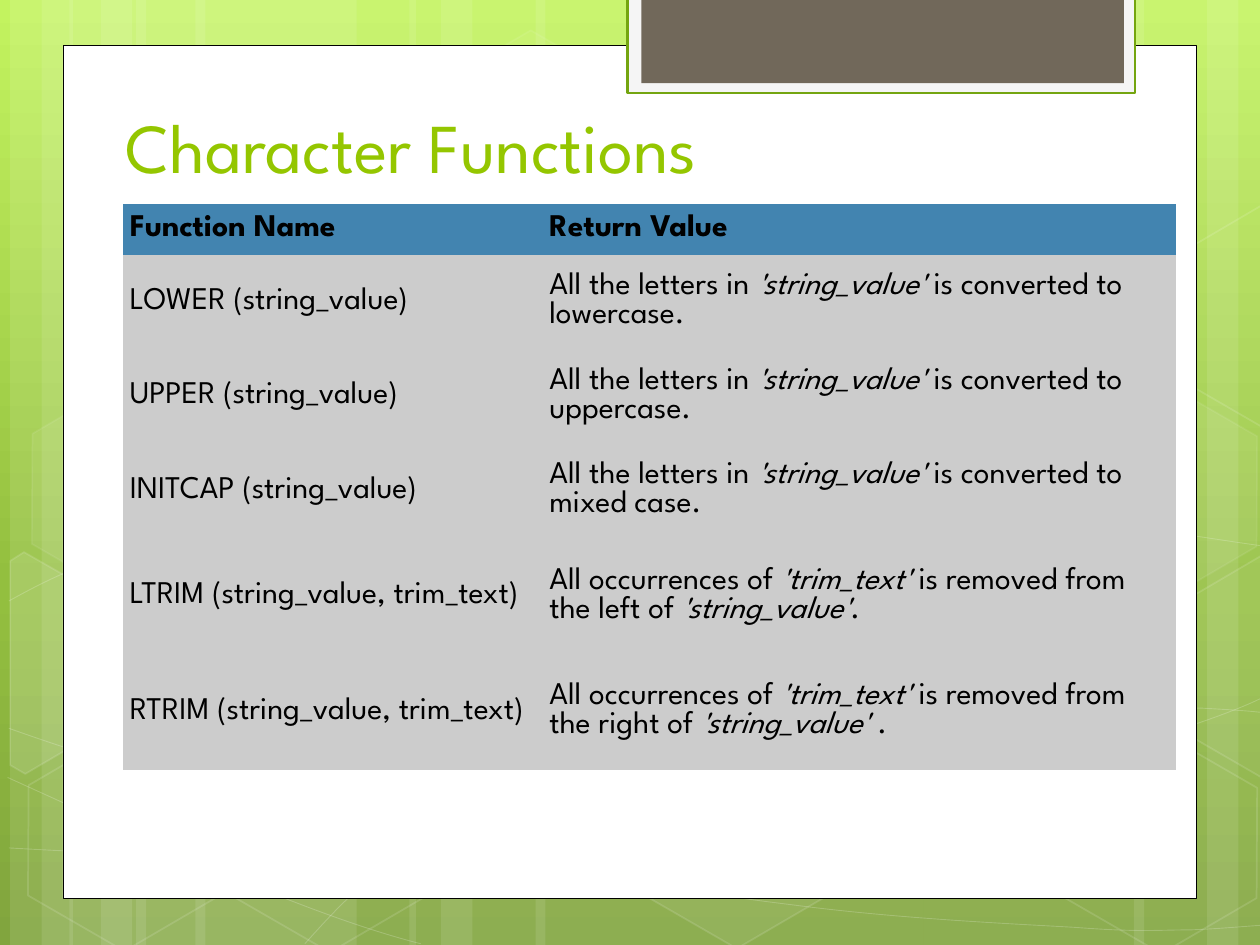
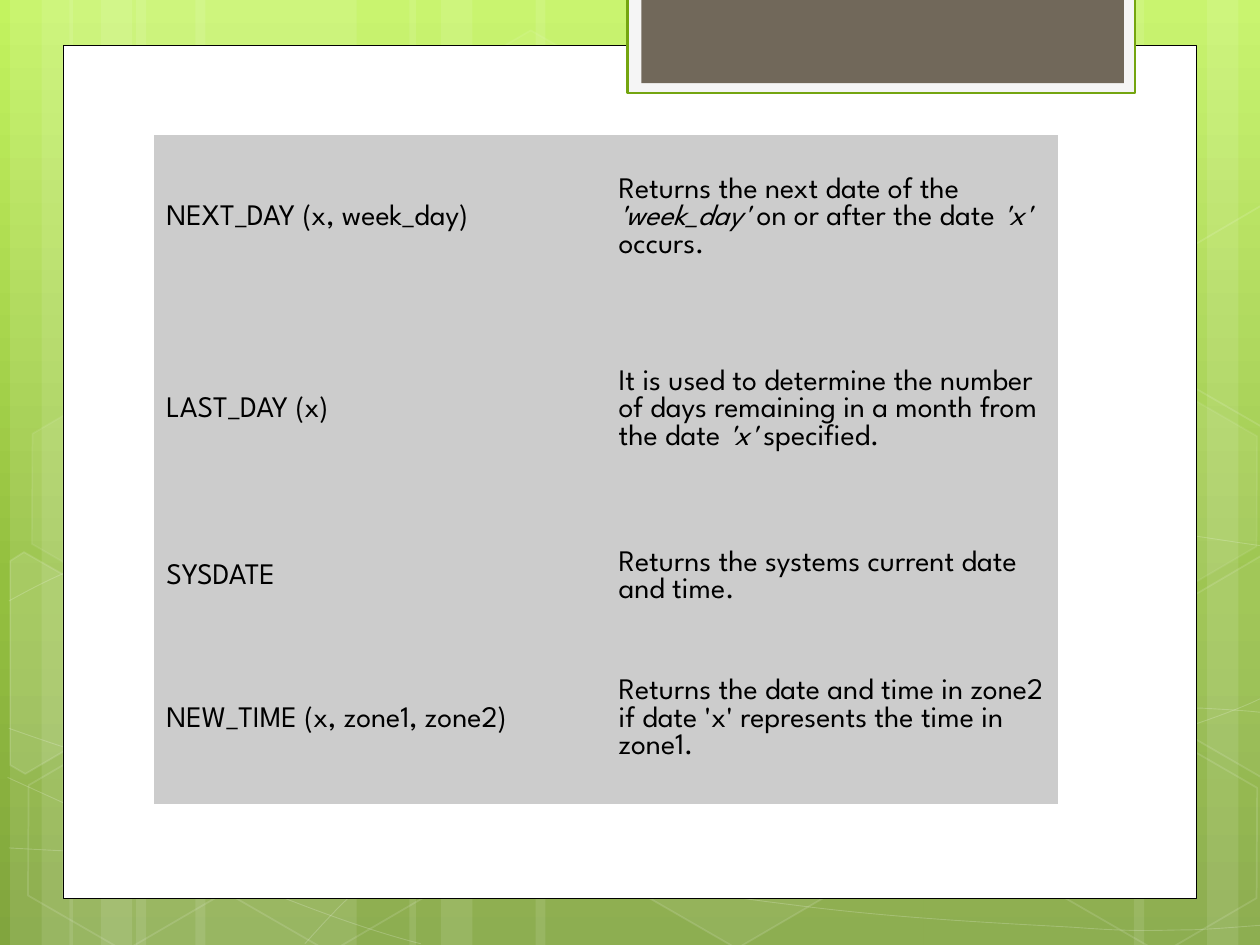
from copy import deepcopy
from math import cos, radians, sin

from pptx import Presentation
from pptx.dml.color import RGBColor
from pptx.enum.shapes import MSO_SHAPE
from pptx.enum.text import MSO_ANCHOR
from pptx.oxml.ns import qn
from pptx.util import Cm, Pt

GRID = Cm(2.54)  # layout unit: the slide measures 10 by 7.5 of them
WIDTH, HEIGHT = 10, 7.5
TILT = 30  # degrees by which every hexagon is turned
FONT = "League Spartan"

WHITE = RGBColor(0xFF, 0xFF, 0xFF)
BLACK = RGBColor(0x00, 0x00, 0x00)
TITLE_GREEN = RGBColor(0x94, 0xC6, 0x00)
TAB_EDGE = RGBColor(0x74, 0xA5, 0x10)
TAB_RIM = RGBColor(0xF5, 0xF5, 0xF5)
TAB_BROWN = RGBColor(0x71, 0x68, 0x5A)
HEADER_BLUE = RGBColor(0x42, 0x84, 0xB0)
ROW_GREY = RGBColor(0xCC, 0xCC, 0xCC)
BACKDROP = [
    (0, RGBColor(0xC3, 0xF3, 0x5F)),
    (0.62, RGBColor(0x93, 0xBF, 0x3F)),
    (1, RGBColor(0x81, 0xA5, 0x3E)),
]
NO_TABLE_STYLE = "{2D5ABB26-0587-4C30-8999-92F81FD0307C}"

# left edge, width
STRIPES = [
    (1.08, 1.75), (0.08, 0.5), (0.33, 0.83), (1.55, 1.75), (0.55, 0.5), (0.8, 0.83),
    (7.33, 1.75), (9.58, 0.5), (9, 0.83), (4.25, 3.08), (3.25, 0.5), (3.5, 0.83),
]
# start point, then two controls and an end point for each cubic segment
CURVES = [
    [(0.07, 6.73), (0.61, 6.76), (1.15, 6.79), (1.9, 6.78), (2.65, 6.77), (3.58, 6.75),
     (4.58, 6.65), (5.58, 6.55), (7, 6.36), (7.92, 6.17), (8.83, 5.98), (9.77, 5.68),
     (10.07, 5.51)],
    [(0.07, 4.77), (0.36, 4.61), (0.65, 4.46), (1.21, 4.31), (1.78, 4.16), (2.59, 3.94),
     (3.47, 3.87), (4.36, 3.8), (5.44, 3.79), (6.54, 3.87), (7.64, 3.95), (9.47, 4.26),
     (10.07, 4.34)],
    [(0.06, 6.17), (1.27, 6.72), (2.47, 7.27), (3.34, 7.49)],
    [(0.07, 5.78), (0.38, 5.89), (0.7, 6), (1.28, 6.16), (1.86, 6.31), (2.73, 6.56),
     (3.57, 6.73), (4.4, 6.9), (5.45, 7.08), (6.28, 7.18), (7.11, 7.29), (8, 7.33),
     (8.53, 7.36), (9.05, 7.4), (9.19, 7.38), (9.45, 7.38), (9.71, 7.37), (9.89, 7.35),
     (10.07, 7.34)],
    [(2.42, 7.49), (2.6, 7.29), (2.78, 7.09), (3.02, 6.91), (3.26, 6.73), (3.6, 6.53),
     (3.88, 6.39), (4.16, 6.25), (4.33, 6.19), (4.7, 6.09), (5.06, 5.99), (5.73, 5.85),
     (6.08, 5.78), (6.44, 5.71), (6.49, 5.71), (6.8, 5.69), (7.11, 5.66), (7.6, 5.63),
     (7.94, 5.62), (8.29, 5.61), (8.86, 5.62), (8.86, 5.62), (9.08, 5.62), (9.3, 5.62),
     (9.53, 5.62), (9.71, 5.63), (9.88, 5.64), (9.97, 5.65), (10.06, 5.66), (10.03, 5.65),
     (10.06, 5.66)],
]
# left, top, fill opacity (None for outline only), line opacity
HEXAGONS = [
    (3.34, 0.36, 4, 8), (4.97, 5.89, 6, 12), (0.11, 5.91, None, 12), (0.14, 3.12, 7, 8),
    (1.74, 5.92, None, 12), (7.53, 4.53, 10, 12), (8.34, 5.93, None, 12),
    (8.34, 3.14, 7, 8),
]
# centre of rotation, corners after rotation, fill opacity
CUT_HEXAGONS = [
    ((0.36, 5.35), [(0.08, 4.45), (0.19, 4.38), (0.96, 4.82), (0.95, 5.7), (0.2, 6.14),
                    (0.08, 6.07)], 10),
    ((9.85, 5.2), [(9.26, 4.85), (10.01, 4.41), (10.09, 4.46), (10.09, 6.13),
                   (10.02, 6.17), (9.26, 5.73)], 4),
    ((9.85, 2.41), [(9.26, 2.07), (10.01, 1.63), (10.1, 1.68), (10.09, 3.35),
                    (10.02, 3.39), (9.26, 2.95)], None),
]

# Asterisks enclose italics
CHARACTER_FUNCTIONS = [
    ("Function Name", "Return Value"),
    ("LOWER (string_value)",
     "All the letters in *'string_value'* is converted to lowercase."),
    ("UPPER (string_value)",
     "All the letters in *'string_value'* is converted to uppercase."),
    ("INITCAP (string_value)",
     "All the letters in *'string_value'* is converted to mixed case."),
    ("LTRIM (string_value, trim_text)",
     "All occurrences of *'trim_text'* is removed from the left of *'string_value'*."),
    ("RTRIM (string_value, trim_text)",
     "All occurrences of *'trim_text'* is removed from the right of *'string_value'* ."),
]
DATE_FUNCTIONS = [
    ("NEXT_DAY (x, week_day)",
     "Returns the next date of the *'week_day'* on or after the date *'x'* occurs."),
    ("LAST_DAY (x)",
     "It is used to determine the number of days remaining in a month "
     "from the date *'x'* specified."),
    ("SYSDATE", "Returns the systems current date and time."),
    ("NEW_TIME (x, zone1, zone2)",
     "Returns the date and time in zone2 if date 'x' represents the time in zone1."),
]


def grid(*values):
    return [round(GRID * value) for value in values]


def set_all(target, values):
    for name, value in values.items():
        setattr(target, name, value)


def set_opacity(colors, percent):
    for color in colors:
        color.append(color.makeelement(qn("a:alpha"), {"val": str(percent * 1000)}))


def paint(shape, fill=None, line=None, weight=1, fill_opacity=100, line_opacity=100):
    """Fill and outline a shape; None leaves that part empty."""
    shape.shadow.inherit = False
    properties = shape.element.spPr
    if fill is None:
        shape.fill.background()
    else:
        shape.fill.solid()
        shape.fill.fore_color.rgb = fill
        if fill_opacity < 100:
            set_opacity(properties.xpath("./a:solidFill/a:srgbClr"), fill_opacity)
    if line is None:
        shape.line.fill.background()
    else:
        shape.line.color.rgb = line
        shape.line.width = Pt(weight)
        if line_opacity < 100:
            set_opacity(properties.xpath("./a:ln/a:solidFill/a:srgbClr"), line_opacity)


def add_block(slide, box, **look):
    block = slide.shapes.add_shape(MSO_SHAPE.RECTANGLE, *grid(*box))
    paint(block, **look)


def add_outline(slide, points, close):
    start, *rest = [grid(*point) for point in points]
    builder = slide.shapes.build_freeform(*start)
    builder.add_line_segments(rest, close=close)
    return builder.convert_to_shape()


def add_curve(slide, controls):
    """Draw the control polygon, then turn each three of its sides into one cubic."""
    curve = add_outline(slide, controls, False)
    sides = curve.element.spPr.xpath(".//a:lnTo")
    for first in range(0, len(sides), 3):
        cubic = sides[first].makeelement(qn("a:cubicBezTo"))
        sides[first].addprevious(cubic)
        for side in sides[first:first + 3]:
            cubic.append(side[0])
            side.getparent().remove(side)
    paint(curve, line=WHITE, weight=0.5, line_opacity=20)


def glass(fill_opacity, line_opacity):
    """Look of a translucent white hexagon."""
    look = {"line": WHITE, "line_opacity": line_opacity}
    if fill_opacity is not None:
        look.update(fill=WHITE, fill_opacity=fill_opacity)
    return look


def add_hexagon(slide, left, top, fill_opacity, line_opacity):
    hexagon = slide.shapes.add_shape(MSO_SHAPE.HEXAGON, *grid(left, top, 1.75, 1.52))
    hexagon.adjustments[0] = 0.285
    hexagon.rotation = TILT
    paint(hexagon, **glass(fill_opacity, line_opacity))


def add_cut_hexagon(slide, centre, corners, fill_opacity):
    c, s = cos(radians(TILT)), sin(radians(TILT))
    offsets = [(x - centre[0], y - centre[1]) for x, y in corners]
    upright = [(centre[0] + dx * c + dy * s, centre[1] - dx * s + dy * c)
               for dx, dy in offsets]
    hexagon = add_outline(slide, upright, True)
    hexagon.rotation = TILT
    paint(hexagon, **glass(fill_opacity, 12))


def set_backdrop(layout):
    fill = layout.background.fill
    fill.gradient()
    fill.gradient_angle = 270
    stops = layout.element.find(".//" + qn("a:gsLst"))
    stops.insert(1, deepcopy(stops[0]))
    for stop, (position, color) in zip(fill.gradient_stops, BACKDROP):
        stop.position = position
        stop.color.rgb = color


def draw_theme(slide):
    for left, width in STRIPES:
        add_block(slide, (left, 0, width, HEIGHT), fill=WHITE, fill_opacity=10)
    for controls in CURVES:
        add_curve(slide, controls)
    for hexagon in HEXAGONS:
        add_hexagon(slide, *hexagon)
    for cut_hexagon in CUT_HEXAGONS:
        add_cut_hexagon(slide, *cut_hexagon)
    add_block(slide, (0.5, 0.36, 9, 6.77), fill=WHITE, line=BLACK, weight=0.5)
    add_block(slide, (4.98, -0.02, 4.03, 0.76), fill=TAB_RIM, line=TAB_EDGE, weight=1.25)
    add_block(slide, (5.09, -0.02, 3.83, 0.68), fill=TAB_BROWN)


def theme_layout(deck, layout):
    """Give the layout the backdrop and decoration that all slides share."""
    set_backdrop(layout)
    for placeholder in list(layout.placeholders):
        placeholder.element.getparent().remove(placeholder.element)
    first_slide = deck.slides.add_slide(layout)
    draw_theme(first_slide)
    for shape in list(first_slide.shapes):
        layout.element.cSld.spTree.append(shape.element)
    return first_slide


def write(paragraph, text, color, **font):
    """Add text as runs, with the parts between asterisks in italics."""
    for index, part in enumerate(text.split("*")):
        if part:
            run = paragraph.add_run()
            run.text = part
            set_all(run.font, {"name": FONT, "italic": index % 2 == 1, **font})
            run.font.color.rgb = color


def add_title(slide, text):
    frame = slide.shapes.add_textbox(*grid(0.9, 0.29, 7.68, 1.25)).text_frame
    set_all(frame, {"word_wrap": True, "vertical_anchor": MSO_ANCHOR.BOTTOM})
    write(frame.paragraphs[0], text, TITLE_GREEN, size=Pt(40))


def add_function_table(slide, entries, corner, widths, heights, size, margins, header=False):
    frame = slide.shapes.add_table(
        len(entries), len(widths), *grid(*corner, sum(widths), sum(heights)))
    frame.element.find(".//" + qn("a:tableStyleId")).text = NO_TABLE_STYLE
    table = frame.table
    set_all(table, {"first_row": header, "horz_banding": False})
    for column, width in zip(table.columns, grid(*widths)):
        column.width = width
    side, edge = grid(*margins)
    cell_format = {
        "vertical_anchor": MSO_ANCHOR.MIDDLE,
        "margin_left": side, "margin_right": side,
        "margin_top": edge, "margin_bottom": edge,
    }
    for number, (row, height, texts) in enumerate(zip(table.rows, grid(*heights), entries)):
        row.height = height
        is_header = header and number == 0
        for cell, text in zip(row.cells, texts):
            set_all(cell, cell_format)
            cell.fill.solid()
            cell.fill.fore_color.rgb = HEADER_BLUE if is_header else ROW_GREY
            write(cell.text_frame.paragraphs[0], text, BLACK, size=Pt(size), bold=is_header)


def main():
    deck = Presentation()
    deck.slide_width, deck.slide_height = grid(WIDTH, HEIGHT)
    blank = deck.slide_layouts[6]

    characters = theme_layout(deck, blank)
    add_title(characters, "Character Functions")
    add_function_table(
        characters, CHARACTER_FUNCTIONS, (0.98, 1.62), (3.33, 5.02),
        (0.4, 0.75, 0.75, 0.75, 0.92, 0.92), 18, (0.05, 0.02), header=True)

    dates = deck.slides.add_slide(blank)
    add_function_table(
        dates, DATE_FUNCTIONS, (1.22, 1.07), (3.59, 3.59),
        (1.33, 1.72, 0.93, 1.33), 17, (0.1, 0.05))

    deck.save("out.pptx")


if __name__ == "__main__":
    main()
